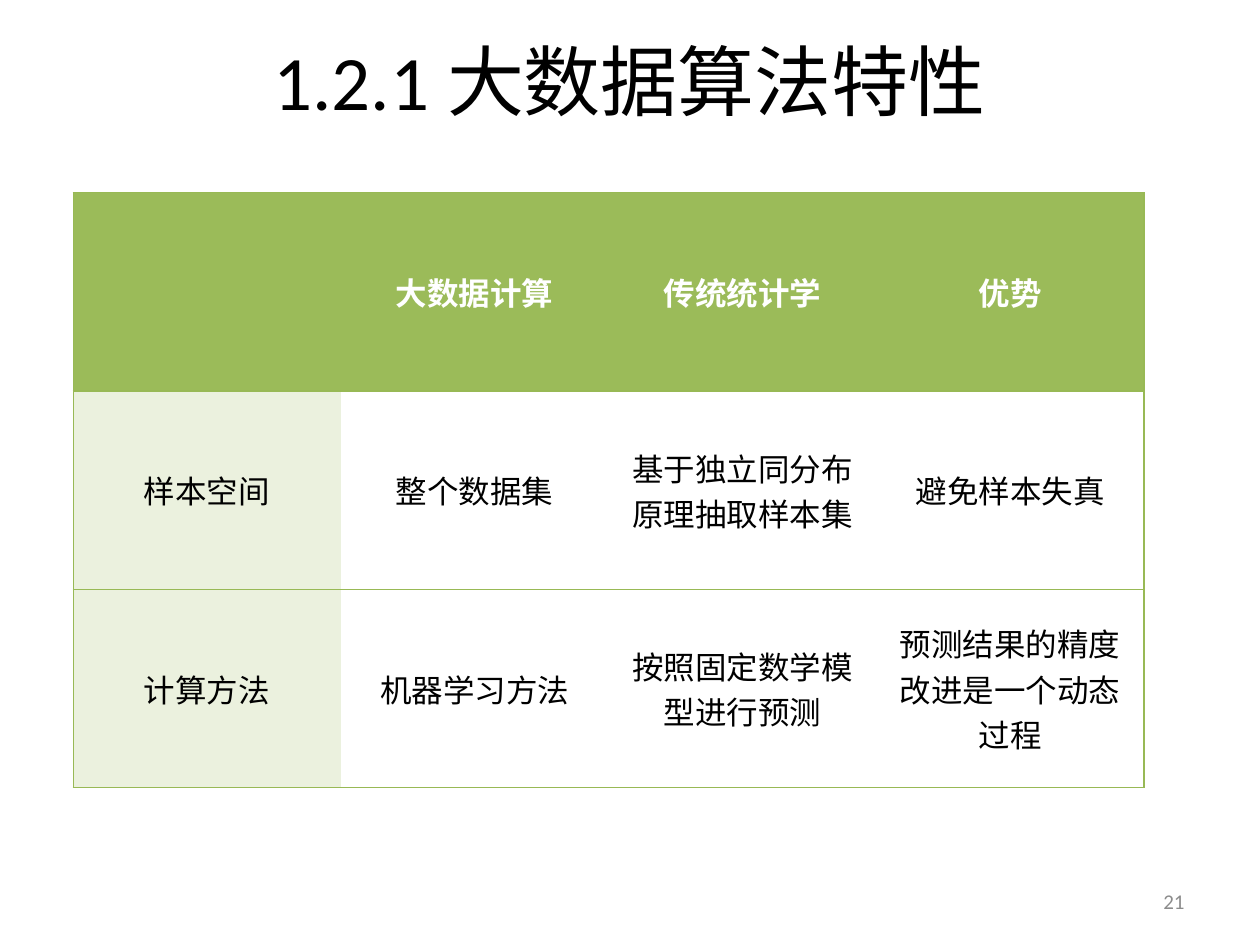
import lxml.etree
import pptx
import pptx.dml.color
import pptx.enum.text
import pptx.oxml.ns
import pptx.util

Inches = pptx.util.Inches
Pt = pptx.util.Pt
ALIGN = pptx.enum.text.PP_ALIGN
ANCHOR = pptx.enum.text.MSO_ANCHOR

HEADER_GREEN = "9BBB59"
BORDER_GREEN = "98B955"
PALE_GREEN = "EBF1DE"
PLAIN_TABLE_STYLE = "{2D5ABB26-0587-4C30-8999-92F81FD0307C}"
ROWS = [
    ["", "大数据计算", "传统统计学", "优势"],
    ["样本空间", "整个数据集", "基于独立同分布原理抽取样本集", "避免样本失真"],
    ["计算方法", "机器学习方法", "按照固定数学模型进行预测", "预测结果的精度改进是一个动态过程"],
]


def color(value):
    return pptx.dml.color.RGBColor.from_string(value)


def write_text(text_frame, text, size, font_name, font_color, alignment, bold=False):
    text_frame.text = text
    paragraph = text_frame.paragraphs[0]
    paragraph.alignment = alignment
    for run in paragraph.runs:
        run.font.size = Pt(size)
        run.font.name = font_name
        run.font.bold = bold
        run.font.color.rgb = color(font_color)


def add_title(slide, text):
    title = slide.shapes.title
    title.left, title.top = Inches(0.5), Inches(0.3)
    title.width, title.height = Inches(9), Inches(1.25)
    write_text(title.text_frame, text, 44, "Calibri", "000000", ALIGN.CENTER)
    title.text_frame.vertical_anchor = ANCHOR.TOP
    title.text_frame.paragraphs[0].line_spacing = 0.9


def add_page_number(slide, text):
    box = slide.shapes.add_textbox(Inches(7.17), Inches(6.95), Inches(2.33), Inches(0.4))
    box.text_frame.word_wrap = True
    box.text_frame.vertical_anchor = ANCHOR.MIDDLE
    write_text(box.text_frame, text, 12, "Calibri", "8C8C8C", ALIGN.RIGHT)


def add_borders(cell, sides):
    qn = pptx.oxml.ns.qn
    for side in sides:
        line = lxml.etree.SubElement(cell._tc.tcPr, qn(f"a:ln{side}"), w=str(Pt(0.75)))
        fill = lxml.etree.SubElement(line, qn("a:solidFill"))
        lxml.etree.SubElement(fill, qn("a:srgbClr"), val=BORDER_GREEN)


def format_cell(cell, text, row, column):
    header = row == 0
    write_text(cell.text_frame, text, 18, "Arial", "FFFFFF" if header else "000000",
               ALIGN.CENTER, header)
    cell.vertical_anchor = ANCHOR.MIDDLE
    left = "L" if column == 0 else ""
    right = "R" if column == len(ROWS[0]) - 1 else ""
    add_borders(cell, left + right + "TB")
    if header or column == 0:
        cell.fill.solid()
        cell.fill.fore_color.rgb = color(HEADER_GREEN if header else PALE_GREEN)
    else:
        cell.fill.background()


def add_comparison_table(slide):
    frame = slide.shapes.add_table(len(ROWS), len(ROWS[0]), Inches(0.58), Inches(1.53),
                                   Inches(8.5), Inches(4.72))
    for style in frame.element.iter(pptx.oxml.ns.qn("a:tableStyleId")):
        style.text = PLAIN_TABLE_STYLE
    frame.table.horz_banding = False
    for row, texts in enumerate(ROWS):
        for column, text in enumerate(texts):
            format_cell(frame.table.cell(row, column), text, row, column)


def main():
    presentation = pptx.Presentation()
    presentation.slide_width, presentation.slide_height = Inches(10), Inches(7.5)
    slide = presentation.slides.add_slide(presentation.slide_layouts[5])
    add_title(slide, "1.2.1 大数据算法特性")
    add_page_number(slide, "21")
    add_comparison_table(slide)
    presentation.save("out.pptx")


if __name__ == "__main__":
    main()
